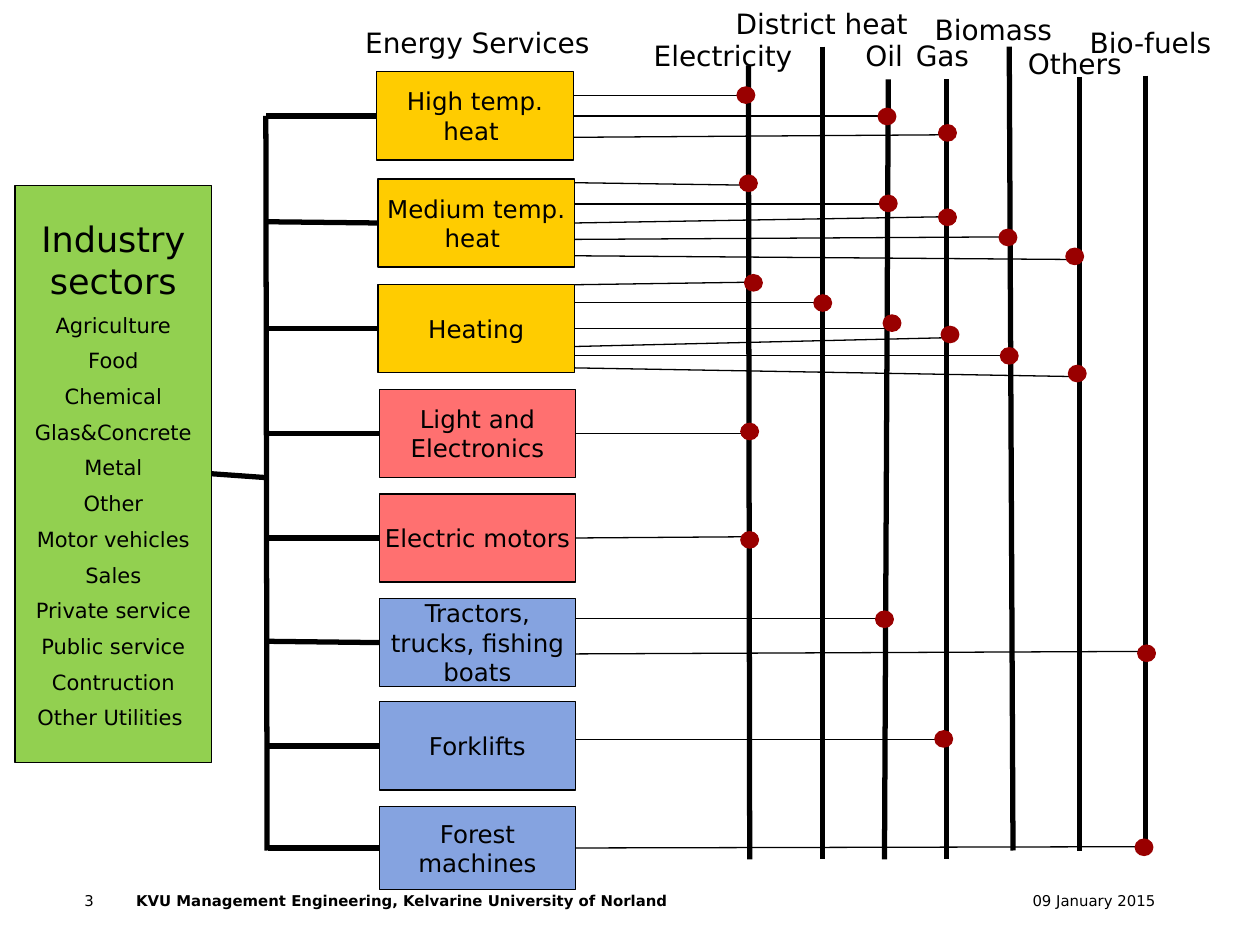
from dataclasses import dataclass

from lxml.etree import SubElement
from pptx import Presentation
from pptx.dml.color import RGBColor
from pptx.enum.shapes import MSO_CONNECTOR, MSO_SHAPE
from pptx.enum.text import MSO_ANCHOR, MSO_AUTO_SIZE, PP_ALIGN
from pptx.oxml.ns import qn
from pptx.util import Pt

SCALE = 9144
LEFT_SIDE, RIGHT_SIDE = 1, 3
DOT_WIDTH, DOT_HEIGHT = 14, 13


@dataclass(frozen=True)
class Theme:
    """Hold the colours, type sizes and line widths."""
    font: str = "DejaVu Sans"
    ink: str = "000000"
    sector: str = "92D050"
    heat: str = "FFCC00"
    electric: str = "FF7070"
    transport: str = "85A3E0"
    dot: str = "990000"
    title_size: float = 20
    heading_size: float = 16
    service_size: float = 14
    list_size: float = 12
    footer_size: float = 8.5
    list_gap: float = 6
    thin: float = 0.75
    thick: float = 3


@dataclass(frozen=True)
class Box:
    """Hold a region in px."""
    left: int
    top: int
    width: int
    height: int

    def inner(self, left, top, width=0, height=0):
        """Return a box whose position is relative to this one."""
        return Box(self.left + left, self.top + top, width, height)

    def emu(self):
        """Return the four lengths in EMU."""
        return [value * SCALE for value in (self.left, self.top, self.width, self.height)]


THEME = Theme()
SECTORS = ["Agriculture", "Food", "Chemical", "Glas&Concrete", "Metal", "Other", "Motor vehicles",
           "Sales", "Private service", "Public service", "Contruction", "Other Utilities "]

CARRIERS = [
    ("Electricity", (9, 26, 130), (94, 52), (95, 682)),
    ("District heat", (74, 0, 158), (153, 37), (153, 682)),
    ("Oil", (177, 26, 50), (205, 63), (202, 682)),
    ("Gas", (217, 26, 63), (251, 63), (251, 682)),
    ("Biomass", (232, 5, 114), (301, 37), (304, 675)),
    ("Others", (306, 32, 96), (357, 61), (357, 675)),
    ("Bio-fuels", (355, 15, 119), (409, 60), (409, 674)),
]

SERVICES = [
    ("High temp. heat ", THEME.heat, (-1, 57, 156, 70), (11, 92), [
        (76, (93, 76), (85, 69)), (92, (202, 92), (197, 86)), (109, (251, 107), (245, 99))]),
    ("Medium temp. heat ", THEME.heat, (0, 142, 156, 70), (12, 176), [
        (145, (94, 147), (87, 139)), (162, (205, 162), (198, 155)), (177, (253, 172), (245, 166)),
        (190, (301, 188), (293, 182)), (203, (357, 206), (346, 197))]),
    ("Heating", THEME.heat, (0, 226, 156, 70), (13, 261), [
        (226, (95, 224), (91, 218)), (240, (151, 240), (146, 234)), (261, (213, 261), (201, 250)),
        (275, (253, 268), (247, 259)), (282, (303, 282), (294, 276)),
        (292, (359, 299), (348, 290))]),
    ("Light and Electronics", THEME.electric, (1, 309, 156, 70), (12, 344), [
        (344, (95, 344), (88, 336))]),
    ("Electric motors", THEME.electric, (1, 392, 156, 70), (12, 427), [
        (427, (95, 426), (88, 422))]),
    ("Tractors, trucks, fishing boats", THEME.transport, (1, 475, 156, 70), (13, 509), [
        (491, (202, 491), (195, 485)), (519, (411, 517), (403, 512))]),
    ("Forklifts", THEME.transport, (1, 557, 156, 70), (13, 592), [
        (587, (245, 587), (242, 580))]),
    ("Forest machines", THEME.transport, (1, 640, 156, 66), (13, 673), [
        (673, (409, 672), (401, 666))]),
]


def color(value):
    """Return a colour from its hex code."""
    return RGBColor.from_string(value)


def style_paragraph(paragraph, text, size, align=PP_ALIGN.LEFT, bold=False):
    """Write one paragraph in the theme font."""
    paragraph.text = text
    paragraph.alignment = align
    paragraph.font.name = THEME.font
    paragraph.font.size = Pt(size)
    paragraph.font.bold = bold
    paragraph.font.color.rgb = color(THEME.ink)


def clear_margins(frame):
    """Remove the insets of a text frame."""
    frame.margin_left = frame.margin_top = frame.margin_right = frame.margin_bottom = 0


def add_block(slide, box, preset, fill, line):
    """Add a flat filled shape with wrapped, centred text space."""
    shape = slide.shapes.add_shape(preset, *box.emu())
    shape.shadow.inherit = False
    shape.fill.solid()
    shape.fill.fore_color.rgb = color(fill)
    shape.line.color.rgb = color(line)
    shape.line.width = Pt(THEME.thin)
    frame = shape.text_frame
    clear_margins(frame)
    frame.word_wrap = True
    frame.vertical_anchor = MSO_ANCHOR.MIDDLE
    return shape


def add_line(slide, start, end, width):
    """Add a plain straight connector between two points."""
    connector = slide.shapes.add_connector(
        MSO_CONNECTOR.STRAIGHT, *start.emu()[:2], *end.emu()[:2])
    connector.line.color.rgb = color(THEME.ink)
    connector.line.width = Pt(width)
    SubElement(connector._element.spPr, qn("a:effectLst"))
    return connector


def add_heading(slide, box, text):
    """Add a one-line heading that fits its text."""
    frame = slide.shapes.add_textbox(*box.emu()).text_frame
    frame.word_wrap = False
    frame.auto_size = MSO_AUTO_SIZE.SHAPE_TO_FIT_TEXT
    style_paragraph(frame.paragraphs[0], text, THEME.heading_size)


def add_sectors(slide, box):
    """Add the industry panel and return it."""
    panel = add_block(slide, box, MSO_SHAPE.RECTANGLE, THEME.sector, THEME.ink)
    frame = panel.text_frame
    style_paragraph(frame.paragraphs[0], "Industry sectors", THEME.title_size, PP_ALIGN.CENTER)
    for sector in SECTORS:
        paragraph = frame.add_paragraph()
        style_paragraph(paragraph, sector, THEME.list_size, PP_ALIGN.CENTER)
        paragraph.space_before = Pt(THEME.list_gap)
    return panel


def add_carriers(slide, box):
    """Add the energy carrier lines and their headings."""
    for label, (left, top, width), start, end in CARRIERS:
        add_line(slide, box.inner(*start), box.inner(*end), THEME.thick)
        add_heading(slide, box.inner(left, top, width, 37), label)


def add_services(slide, box):
    """Add the energy service boxes and return them."""
    add_heading(slide, box.inner(-20, 15, 201, 37), "Energy Services")
    services = []
    for label, fill, place, _, _ in SERVICES:
        service = add_block(slide, box.inner(*place), MSO_SHAPE.RECTANGLE, fill, THEME.ink)
        style_paragraph(service.text_frame.paragraphs[0], label, THEME.service_size,
                        PP_ALIGN.CENTER)
        services.append(service)
    return services


def add_trunk(slide, box, panel, services):
    """Join the industry panel to every service."""
    add_line(slide, box.inner(11, 92), box.inner(12, 675), THEME.thick)
    add_line(slide, box.inner(10, 379), box, THEME.thick).end_connect(panel, RIGHT_SIDE)
    for service, (_, _, _, end, _) in zip(services, SERVICES):
        branch = add_line(slide, box, box.inner(*end), THEME.thick)
        branch.begin_connect(service, LEFT_SIDE)


def add_links(slide, box, services):
    """Link the services to their carriers and mark each meeting point."""
    dots = []
    for service, (_, _, (_, top, _, height), _, links) in zip(services, SERVICES):
        right = (service.left + service.width) // SCALE
        for start_y, end, corner in links:
            start = Box(right, box.top + start_y, 0, 0)
            link = add_line(slide, start, box.inner(*end), THEME.thin)
            if 2 * start_y == 2 * top + height:
                link.begin_connect(service, RIGHT_SIDE)
            dots.append(box.inner(*corner, DOT_WIDTH, DOT_HEIGHT))
    for dot in dots:
        add_block(slide, dot, MSO_SHAPE.OVAL, THEME.dot, THEME.dot)


def add_footer(slide, box):
    """Add the page number, the institution and the date."""
    for text, left, width, align, bold in [
        ("3", 0, 33, PP_ALIGN.LEFT, False),
        ("KVU Management Engineering, Kelvarine University of Norland", 41, 463,
         PP_ALIGN.LEFT, True),
        ("09 January 2015", 693, 157, PP_ALIGN.RIGHT, False),
    ]:
        frame = slide.shapes.add_textbox(*box.inner(left, 0, width, box.height).emu()).text_frame
        clear_margins(frame)
        frame.word_wrap = True
        style_paragraph(frame.paragraphs[0], text, THEME.footer_size, align, bold)


def main():
    """Build the slide and save it."""
    presentation = Presentation()
    presentation.slide_width, presentation.slide_height = 1000 * SCALE, 750 * SCALE
    slide = presentation.slides.add_slide(presentation.slide_layouts[6])
    carrier_box = Box(500, 0, 474, 682)
    add_footer(slide, Box(67, 708, 850, 33))
    panel = add_sectors(slide, Box(12, 147, 156, 458))
    services = add_services(slide, Box(300, 0, 157, 706))
    add_carriers(slide, carrier_box)
    add_trunk(slide, Box(200, 0, 100, 675), panel, services)
    add_links(slide, carrier_box, services)
    presentation.save("out.pptx")


if __name__ == "__main__":
    main()
